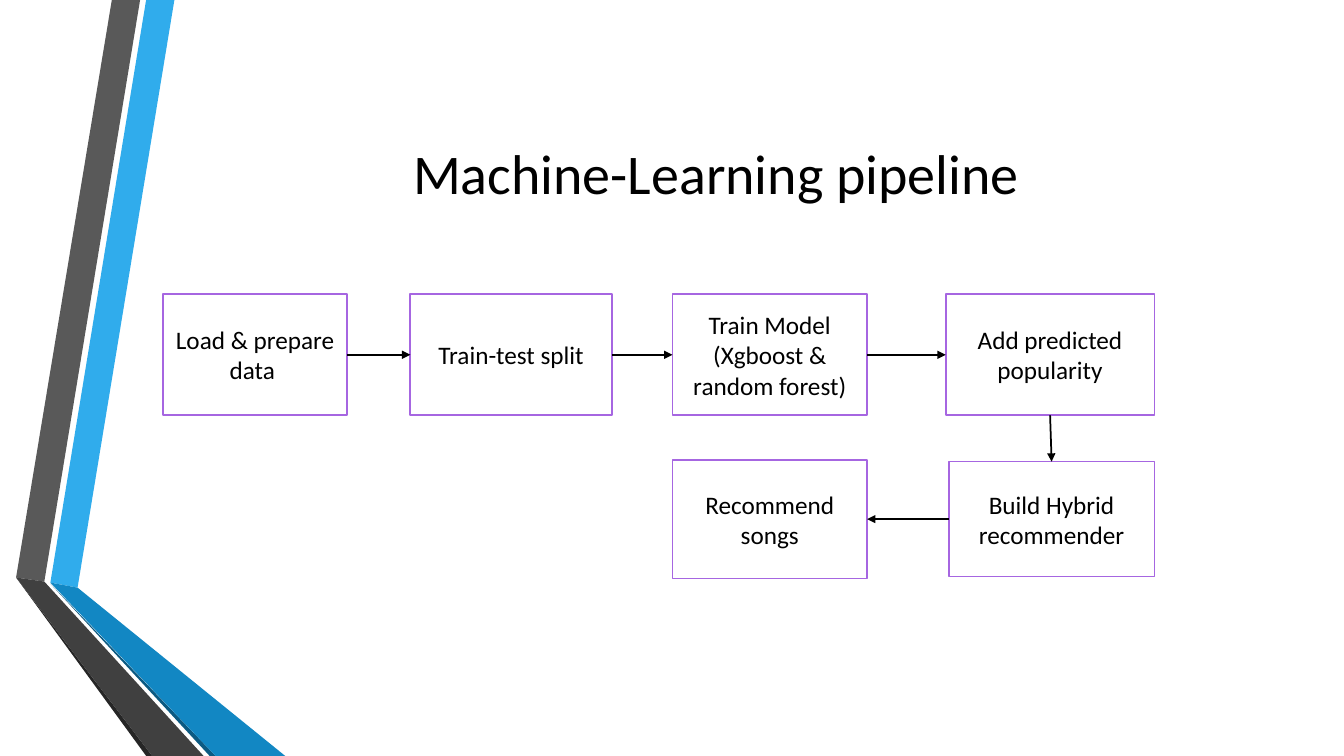
from lxml import etree
from pptx import Presentation
from pptx.dml.color import RGBColor
from pptx.enum import shapes, text
from pptx.oxml import ns
from pptx.util import Inches, Pt

BLACK = RGBColor(0x00, 0x00, 0x00)
WHITE = RGBColor(0xFF, 0xFF, 0xFF)
PURPLE = RGBColor(0xA6, 0x66, 0xE1)
LIGHT_BLUE = RGBColor(0x30, 0xAC, 0xEC)
BLUE = RGBColor(0x12, 0x87, 0xC3)
DARK_BLUE = RGBColor(0x0C, 0x5A, 0x82)
GRAY = RGBColor(0x59, 0x59, 0x59)
DARK_GRAY = RGBColor(0x40, 0x40, 0x40)
CHARCOAL = RGBColor(0x26, 0x26, 0x26)

FONT = "Calibri"
LINE_WIDTH = Pt(1.25)
TOP, BOTTOM, LEFT, RIGHT = 0, 2, 1, 3  # python-pptx: 0 top, 1 left, 2 bottom, 3 right

RIBBONS = [
    (LIGHT_BLUE, [(0.5, 5.78), (0.77, 5.83), (1.73, 0), (1.45, 0)]),
    (GRAY, [(1.39, 0), (1.11, 0), (0.16, 5.73), (0.44, 5.77)]),
    (CHARCOAL, [(0.16, 5.73), (1.45, 7.5), (1.51, 7.5)]),
    (DARK_BLUE, [(0.5, 5.79), (2.08, 7.5), (2.14, 7.5)]),
    (BLUE, [(0.5, 5.78), (2.14, 7.5), (2.83, 7.5), (0.77, 5.83)]),
    (DARK_GRAY, [(2.02, 7.5), (0.44, 5.77), (0.16, 5.73), (1.51, 7.5)]),
]

STEPS = [
    ("Load & prepare data ", 1.62, 2.92, 1.82, 1.2),
    ("Train-test split", 4.07, 2.92, 2, 1.2),
    ("Train Model (Xgboost & random forest)", 6.67, 2.92, 1.93, 1.2),
    ("Add predicted popularity", 9.38, 2.92, 2.07, 1.2),
    ("Build Hybrid recommender", 9.41, 4.58, 2.04, 1.14),
    ("Recommend songs", 6.67, 4.56, 1.93, 1.18),
]

# Sides that each step's arrow leaves from and arrives at
ARROW_SIDES = [(RIGHT, LEFT)] * 3 + [(BOTTOM, TOP), (LEFT, RIGHT)]


def write_text(shape, words, size):
    frame = shape.text_frame
    frame.text = words
    frame.word_wrap = True
    frame.vertical_anchor = text.MSO_ANCHOR.MIDDLE
    paragraph = frame.paragraphs[0]
    paragraph.alignment = text.PP_ALIGN.CENTER
    font = paragraph.runs[0].font
    font.name, font.size = FONT, Pt(size)
    font.color.rgb = BLACK


def add_ribbon(slide, color, points):
    start, *others = [(Inches(x), Inches(y)) for x, y in points]
    builder = slide.shapes.build_freeform(*start)
    builder.add_line_segments(others, close=True)
    shape = builder.convert_to_shape()
    shape.shadow.inherit = False
    shape.fill.solid()
    shape.fill.fore_color.rgb = color
    shape.line.fill.background()


def add_title(slide, words):
    title = slide.shapes.title
    title.left, title.top = Inches(1.62), Inches(0.75)
    title.width, title.height = Inches(10.96), Inches(1.92)
    write_text(title, words, 40)


def add_step(slide, words, *box):
    shape = slide.shapes.add_shape(
        shapes.MSO_SHAPE.RECTANGLE, *[Inches(length) for length in box])
    shape.shadow.inherit = False
    shape.fill.solid()
    shape.fill.fore_color.rgb = WHITE
    shape.line.color.rgb = PURPLE
    shape.line.width = LINE_WIDTH
    write_text(shape, words, 18)
    return shape


def add_arrow(slide, source, source_side, target, target_side):
    arrow = slide.shapes.add_connector(
        shapes.MSO_CONNECTOR.STRAIGHT, 0, 0, 0, 0)
    arrow.begin_connect(source, source_side)
    arrow.end_connect(target, target_side)
    arrow.line.color.rgb = BLACK
    arrow.line.width = LINE_WIDTH
    etree.SubElement(arrow.line._get_or_add_ln(), ns.qn("a:tailEnd"), type="triangle")
    etree.SubElement(arrow._element.spPr, ns.qn("a:effectLst"))


def main():
    presentation = Presentation()
    presentation.slide_width = Inches(13.33)
    presentation.slide_height = Inches(7.5)
    slide = presentation.slides.add_slide(presentation.slide_layouts[5])

    for color, points in RIBBONS:
        add_ribbon(slide, color, points)
    add_title(slide, "Machine-Learning pipeline")
    steps = [add_step(slide, *step) for step in STEPS]
    for source, target, (leave, arrive) in zip(steps, steps[1:], ARROW_SIDES):
        add_arrow(slide, source, leave, target, arrive)

    presentation.save("out.pptx")


if __name__ == "__main__":
    main()
